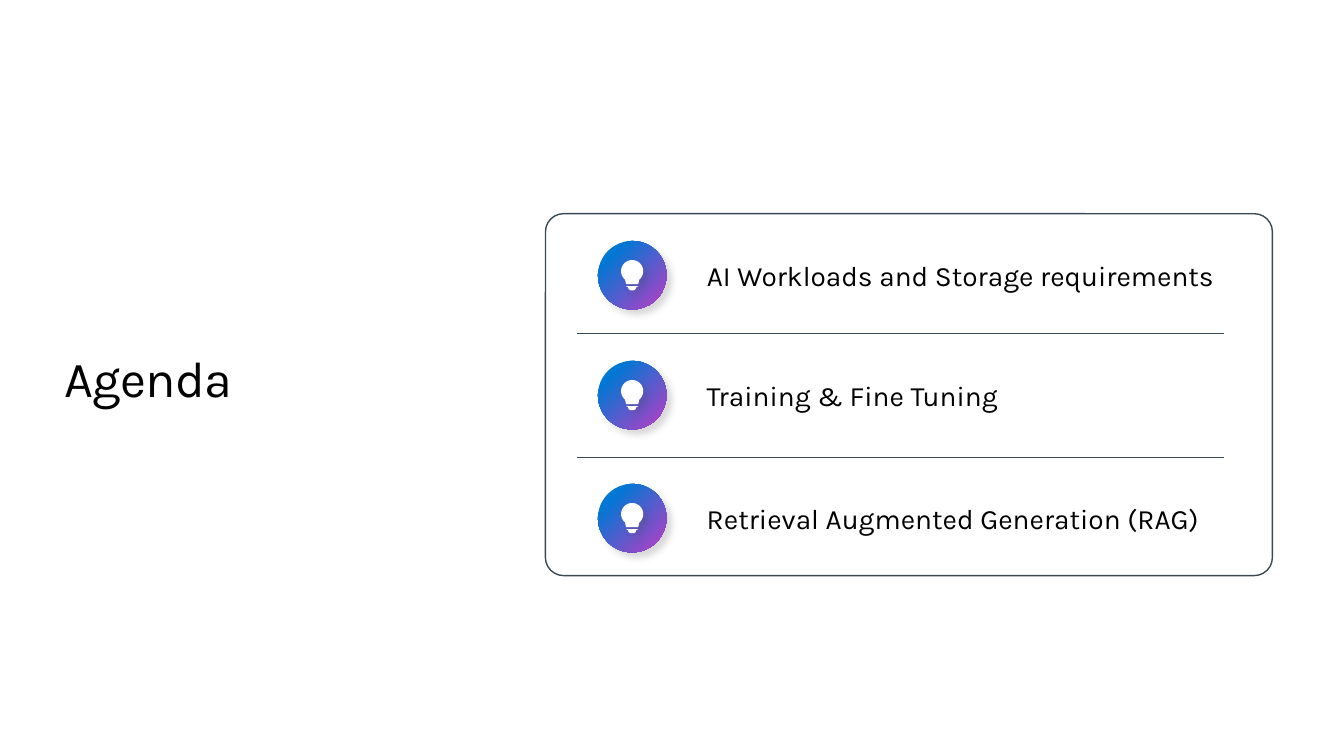
from dataclasses import dataclass
from math import cos, radians, sin

from lxml.etree import SubElement
from pptx import Presentation
from pptx.dml.color import RGBColor
from pptx.enum.shapes import MSO_CONNECTOR as Link, MSO_SHAPE as Kind
from pptx.enum.text import MSO_ANCHOR as Anchor
from pptx.oxml import parse_xml
from pptx.oxml.ns import nsdecls, qn
from pptx.shapes.autoshape import Shape
from pptx.shapes.shapetree import SlideShapes as Shapes
from pptx.text.text import _Paragraph as Para
from pptx.util import Inches, Pt

BLACK = RGBColor(0x00, 0x00, 0x00)
WHITE = RGBColor(0xFF, 0xFF, 0xFF)
SLATE = RGBColor(0x3A, 0x49, 0x53)
PURPLE = RGBColor(0xC0, 0x3B, 0xC4)
BLUE = RGBColor(0x00, 0x78, 0xD4)
SHADE = RGBColor(0x45, 0x41, 0x42)
DISC = 0.68
UNITS = 1000


@dataclass
class Topic:
    text: str
    top: float
    width: float = 5.34


TOPICS = [
    Topic("AI Workloads and Storage requirements", 2.39, 5.61),
    Topic("Training & Fine Tuning", 3.58),
    Topic("Retrieval Augmented Generation (RAG)", 4.8),
]
RULES = [3.31, 4.54]


def add_text(shapes: Shapes, text: str, left: float, top: float,
             width: float, height: float, size: float) -> Para:
    box = shapes.add_textbox(Inches(left), Inches(top), Inches(width), Inches(height))
    frame = box.text_frame
    frame.word_wrap = True
    frame.vertical_anchor = Anchor.MIDDLE
    frame.margin_left = frame.margin_right = 0
    frame.margin_top = frame.margin_bottom = 0
    para = frame.paragraphs[0]
    para.text = text
    font = para.font
    font.name = "Karla"
    font.size = Pt(size)
    font.color.rgb = BLACK
    return para


def add_shadow(shape: Shape) -> None:
    shape.shadow.inherit = False
    effects = shape._element.spPr.find(qn("a:effectLst"))
    outer = SubElement(effects, qn("a:outerShdw"), blurRad=str(Pt(5)),
                       dist=str(Pt(5)), dir=str(45 * 60000), algn="tl", rotWithShape="0")
    color = SubElement(outer, qn("a:srgbClr"), val=str(SHADE))
    SubElement(color, qn("a:alpha"), val="20000")


def add_disc(shapes: Shapes, top: float) -> None:
    disc = shapes.add_shape(Kind.OVAL, Inches(5.93), Inches(top), Inches(DISC), Inches(DISC))
    disc.fill.background()
    disc.line.fill.background()
    props = disc._element.spPr
    props.replace(props.find(qn("a:noFill")), parse_xml(
        f'<a:gradFill {nsdecls("a")} rotWithShape="1"><a:gsLst>'
        f'<a:gs pos="0"><a:srgbClr val="{PURPLE}"/></a:gs>'
        f'<a:gs pos="80000"><a:srgbClr val="{BLUE}"/></a:gs></a:gsLst>'
        '<a:path path="circle"><a:fillToRect l="100000" t="100000"/></a:path>'
        '</a:gradFill>'))
    add_shadow(disc)


def get_arc(x: float, y: float, radius: float, start: int, stop: int) -> list[tuple[float, float]]:
    return [(x + radius * cos(radians(a)), y + radius * sin(radians(a)))
            for a in range(start, stop + 1, 10)]


def add_bulb(shapes: Shapes, top: float) -> None:
    head = get_arc(0, 0.11, 0.11, 130, 410) + [(0.06, 0.24), (-0.06, 0.24)]
    base = [(-0.06, 0.26), (0.06, 0.26)] + get_arc(0.01, 0.27, 0.03, 0, 90)
    base += get_arc(-0.01, 0.27, 0.03, 90, 180)
    pen = shapes.build_freeform(*head[0], scale=Inches(1) / UNITS)
    pen = shapes.build_freeform(head[0][0] * UNITS, head[0][1] * UNITS, Inches(1) / UNITS)
    pen.add_line_segments([(x * UNITS, y * UNITS) for x, y in head[1:]])
    pen.move_to(base[0][0] * UNITS, base[0][1] * UNITS)
    pen.add_line_segments([(x * UNITS, y * UNITS) for x, y in base[1:]])
    bulb = pen.convert_to_shape(Inches(5.93 + DISC / 2), Inches(top + 0.19))
    bulb.fill.solid()
    bulb.fill.fore_color.rgb = WHITE
    bulb.line.fill.background()
    add_shadow(bulb)


def add_rule(shapes: Shapes, y: float) -> None:
    rule = shapes.add_connector(Link.STRAIGHT, Inches(5.72), Inches(y), Inches(12.14), Inches(y))
    rule.line.color.rgb = SLATE
    rule.line.width = Pt(1)
    SubElement(rule._element.spPr, qn("a:effectLst"))


def add_panel(shapes: Shapes) -> None:
    panel = shapes.add_shape(Kind.ROUNDED_RECTANGLE, Inches(5.41), Inches(2.12),
                             Inches(7.21), Inches(3.59))
    panel.adjustments[0] = 0.05
    panel.fill.background()
    panel.line.color.rgb = SLATE
    panel.line.width = Pt(1)
    panel.shadow.inherit = False


def main() -> None:
    deck = Presentation()
    deck.slide_width = Inches(13.33)
    deck.slide_height = Inches(7.5)
    shapes = deck.slides.add_slide(deck.slide_layouts[6]).shapes
    title = add_text(shapes, "Agenda", 0.64, 3.14, 4.51, 1.21, 36)
    title.runs[0]._r.get_or_add_rPr().set("spc", "-50")
    add_panel(shapes)
    for topic in TOPICS:
        add_disc(shapes, topic.top)
        add_bulb(shapes, topic.top)
        add_text(shapes, topic.text, 7.01, topic.top + 0.17, topic.width, 0.34, 20)
    for y in RULES:
        add_rule(shapes, y)
    deck.save("out.pptx")


if __name__ == "__main__":
    main()
